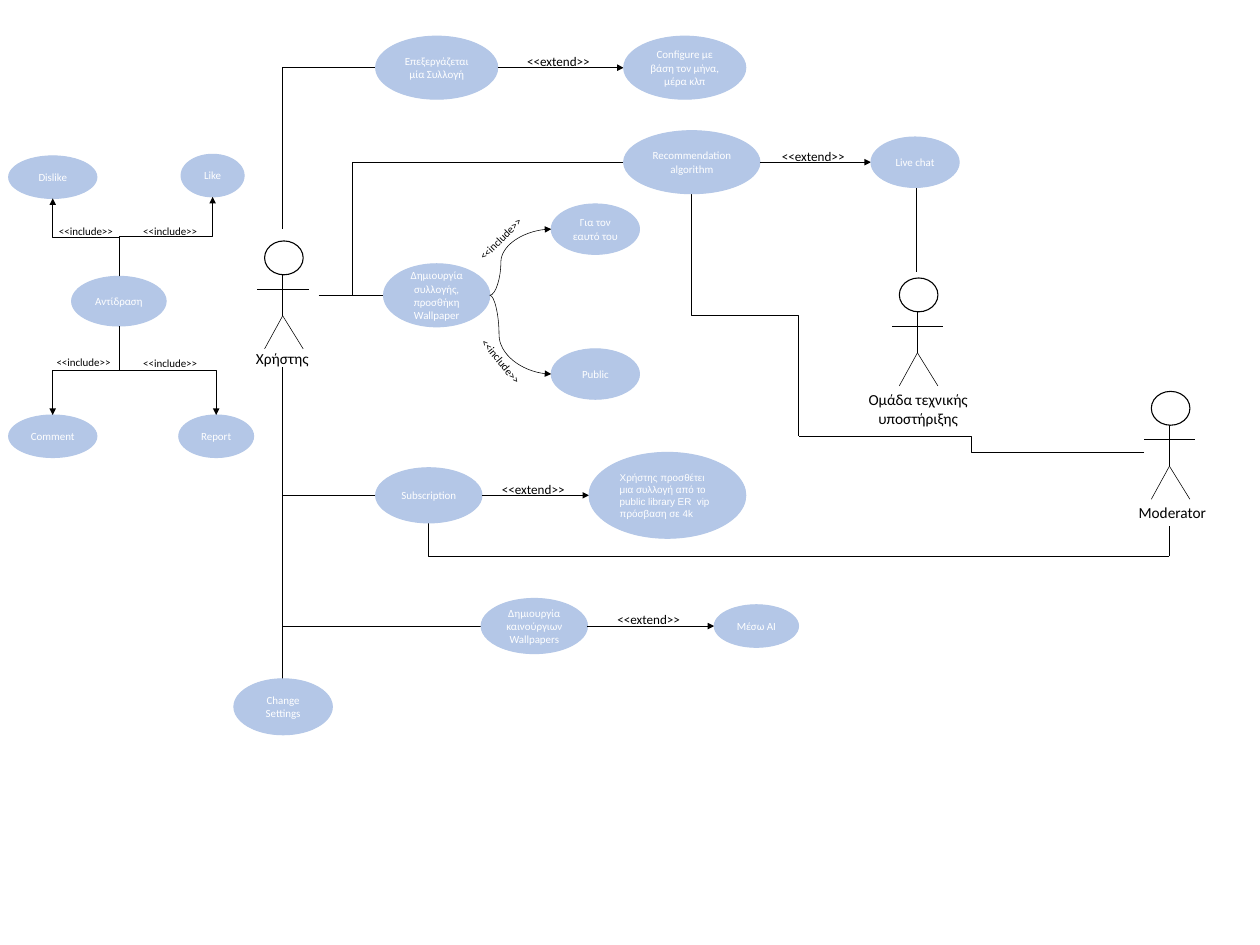
import lxml.etree
import pptx
import pptx.util
import pptx.dml.color
import pptx.enum.shapes
import pptx.enum.text
import pptx.oxml.ns

Inches = pptx.util.Inches
Pt = pptx.util.Pt
RGBColor = pptx.dml.color.RGBColor
Kind = pptx.enum.shapes.MSO_CONNECTOR
Align = pptx.enum.text.PP_ALIGN
qn = pptx.oxml.ns.qn

BLACK = RGBColor(0, 0, 0)
WHITE = RGBColor(255, 255, 255)
BLUE = RGBColor(0xB4, 0xC7, 0xE7)


def write(shape, text, size, color, align, font="Calibri"):
    """Put one wrapped run of text into a shape."""
    frame = shape.text_frame
    frame.word_wrap = True
    para = frame.paragraphs[0]
    para.alignment = align
    run = para.add_run()
    run.text = text
    run.font.name = font
    run.font.size = Pt(size)
    run.font.color.rgb = color


def ring(page, org, x, y, w, h, fill, edge):
    """Draw an ellipse at x, y from the origin."""
    shape = page.shapes.add_shape(
        pptx.enum.shapes.MSO_SHAPE.OVAL,
        Inches(org[0] + x), Inches(org[1] + y), Inches(w), Inches(h))
    shape.shadow.inherit = False
    shape.fill.solid()
    shape.fill.fore_color.rgb = fill
    shape.line.color.rgb = edge
    shape.line.width = Pt(1)
    return shape


def case(page, org, x, y, w, h, text, size=10, align=Align.CENTER, font="Calibri"):
    """Draw a use case: a blue ellipse with its name."""
    shape = ring(page, org, x, y, w, h, BLUE, BLUE)
    shape.text_frame.vertical_anchor = pptx.enum.text.MSO_ANCHOR.MIDDLE
    write(shape, text, size, WHITE, align, font)


def label(page, org, x, y, w, h, text, size, align=Align.LEFT, turn=0):
    """Place a text box, turned if asked."""
    box = page.shapes.add_textbox(
        Inches(org[0] + x), Inches(org[1] + y), Inches(w), Inches(h))
    box.rotation = turn
    write(box, text, size, BLACK, align)


def link(page, org, start, end, kind=Kind.STRAIGHT, arrow=False,
         down=False, corner=False, bend=None):
    """Join two points; down leaves the start vertically, corner bends once."""
    x1, y1 = org[0] + start[0], org[1] + start[1]
    x2, y2 = org[0] + end[0], org[1] + end[1]
    turn = 0
    if down:
        dx, dy = x2 - x1, y2 - y1
        mx, my = (x1 + x2) / 2, (y1 + y2) / 2
        turn = -1 if dx * dy > 0 else 1
        x1, y1 = mx - turn * dy / 2, my + turn * dx / 2
        x2, y2 = mx + turn * dy / 2, my - turn * dx / 2
    wire = page.shapes.add_connector(
        kind, Inches(x1), Inches(y1), Inches(x2), Inches(y2))
    wire.line.color.rgb = BLACK
    wire.line.width = Pt(0.5)
    props = wire._element.spPr
    if turn:
        props.find(qn("a:xfrm")).set("rot", str(turn * 90 % 360 * 60000))
    geom = props.find(qn("a:prstGeom"))
    if corner:
        geom.set("prst", "bentConnector2")
    if bend is not None:
        lxml.etree.SubElement(geom.find(qn("a:avLst")), qn("a:gd"),
                              name="adj1", fmla=f"val {round(bend * 100000)}")
    if arrow:
        lxml.etree.SubElement(props.find(qn("a:ln")), qn("a:tailEnd"),
                              type="triangle")
    lxml.etree.SubElement(props, qn("a:effectLst"))


def actor(page, org, name, x, y, w, h, align=Align.LEFT):
    """Draw a stick figure and its name."""
    hip = (0.32, 0.95)
    for start, end in (((0.09, 1.37), hip), (hip, (0.58, 1.37)),
                       (hip, (0.32, 0.4)), ((0, 0.61), (0.65, 0.61))):
        link(page, org, start, end)
    ring(page, org, 0.09, 0, 0.49, 0.43, WHITE, BLACK)
    label(page, org, x, y, w, h, name, 14, align)


def extend(page, org, base, gap, more, **style):
    """Draw two cases joined by an extend arrow, centred on the origin's line."""
    w, h, text = base
    case(page, org, 0, -h / 2, w, h, text)
    link(page, org, (w, 0), (w + gap, 0), arrow=True)
    label(page, org, w + (gap - 1.05) / 2, -0.23, 1.05, 0.3, "<<extend>>", 12)
    w2, h2, text = more
    case(page, org, w + gap, -h2 / 2, w2, h2, text, **style)


def react(page, org):
    """Draw the reaction case and the four cases it includes."""
    case(page, org, 0.8, 1.55, 1.2, 0.63, "Αντίδραση")
    for x, y, w, text, root, tip in (
            (2.19, 0, 0.8, "Like", 1.55, 0.54),
            (0, 3.31, 1.12, "Comment", 2.18, 3.31),
            (2.16, 3.31, 0.95, "Report", 2.18, 3.31),
            (0, 0.02, 1.12, "Dislike", 1.55, 0.56)):
        case(page, org, x, y, w, 0.54, text)
        link(page, org, (1.4, root), (x + w / 2, tip), Kind.ELBOW,
             arrow=True, down=True)
    for x, y in ((1.61, 2.52), (0.51, 2.5), (1.61, 0.84), (0.54, 0.84)):
        label(page, org, x, y, 1.05, 0.27, "<<include>>", 10)


def create(page, org):
    """Draw the collection case with its two curved includes."""
    case(page, org, 0.82, 0.76, 1.35, 0.8, "Δημιουργία συλλογής, προσθήκη Wallpaper")
    link(page, org, (0, 1.16), (0.82, 1.16))
    for y, text, bend, mark, turn in (
            (0, "Για τον εαυτό του", 0.18, 0.25, 315.2),
            (1.84, "Public", 0.15, 1.93, 50.7)):
        case(page, org, 2.95, y, 1.12, 0.64, text)
        link(page, org, (2.17, 1.16), (2.95, y + 0.32), Kind.CURVE,
             arrow=True, bend=bend)
        label(page, org, 1.84, mark, 1.05, 0.27, "<<include>>", 10, turn=turn)


def wires(page, org):
    """Join the actors to their cases."""
    bent = Kind.ELBOW
    link(page, org, (3.59, 2.91), (4.77, 0.86), bent, down=True, corner=True)
    link(page, org, (3.59, 4.66), (4.77, 6.29), bent, down=True, corner=True)
    link(page, org, (4.05, 3.75), (7.92, 2.06), bent, bend=0.11)
    link(page, org, (14.53, 5.74), (10.14, 5.54), bent)
    link(page, org, (10.14, 5.54), (8.78, 2.47), bent, down=True)
    link(page, org, (14.85, 7.06), (5.44, 6.64), bent, corner=True)
    for start, end in (((14.85, 7.06), (14.85, 6.68)),
                       ((11.63, 2.37), (11.63, 3.45)),
                       ((3.59, 6.18), (3.59, 8.62)),
                       ((6.11, 7.95), (3.59, 7.95))):
        link(page, org, start, end)


def main():
    """Build the use case slide."""
    deck = pptx.Presentation()
    deck.slide_width, deck.slide_height = Inches(16), Inches(12)
    page = deck.slides.add_slide(deck.slide_layouts[6])
    wires(page, (0, 0))
    actor(page, (3.27, 3.06), "Χρήστης", -0.12, 1.33, 1.39, 0.34)
    actor(page, (11.33, 3.53), "Ομάδα τεχνικής υποστήριξης",
          -0.61, 1.38, 1.88, 0.57, Align.CENTER)
    actor(page, (14.53, 4.97), "Moderator", -0.17, 1.37, 1.64, 0.34)
    react(page, (0.11, 1.96))
    create(page, (4.05, 2.59))
    extend(page, (4.77, 0.86), (1.55, 0.8, "Επεξεργάζεται μία Συλλογή"), 1.6,
           (1.55, 0.8, "Configure με βάση τον μήνα, μέρα κλπ"))
    extend(page, (7.92, 2.06), (1.73, 0.8, "Recommendation algorithm"), 1.41,
           (1.12, 0.64, "Live chat"))
    extend(page, (4.77, 6.29), (1.35, 0.7, "Subscription"), 1.36,
           (1.99, 1.09, "Χρήστης προσθέτει μια συλλογή από το "
            "public library\u00a0ER\u00a0 vip πρόσβαση σε 4k"),
           size=9, align=Align.LEFT, font="Arial")
    extend(page, (6.11, 7.95), (1.35, 0.7, "Δημιουργία καινούργιων Wallpapers"),
           1.61, (1.07, 0.54, "Μέσω ΑΙ"))
    case(page, (2.97, 8.62), 0, 0, 1.25, 0.71, "Change Settings")
    deck.save("out.pptx")


main()
